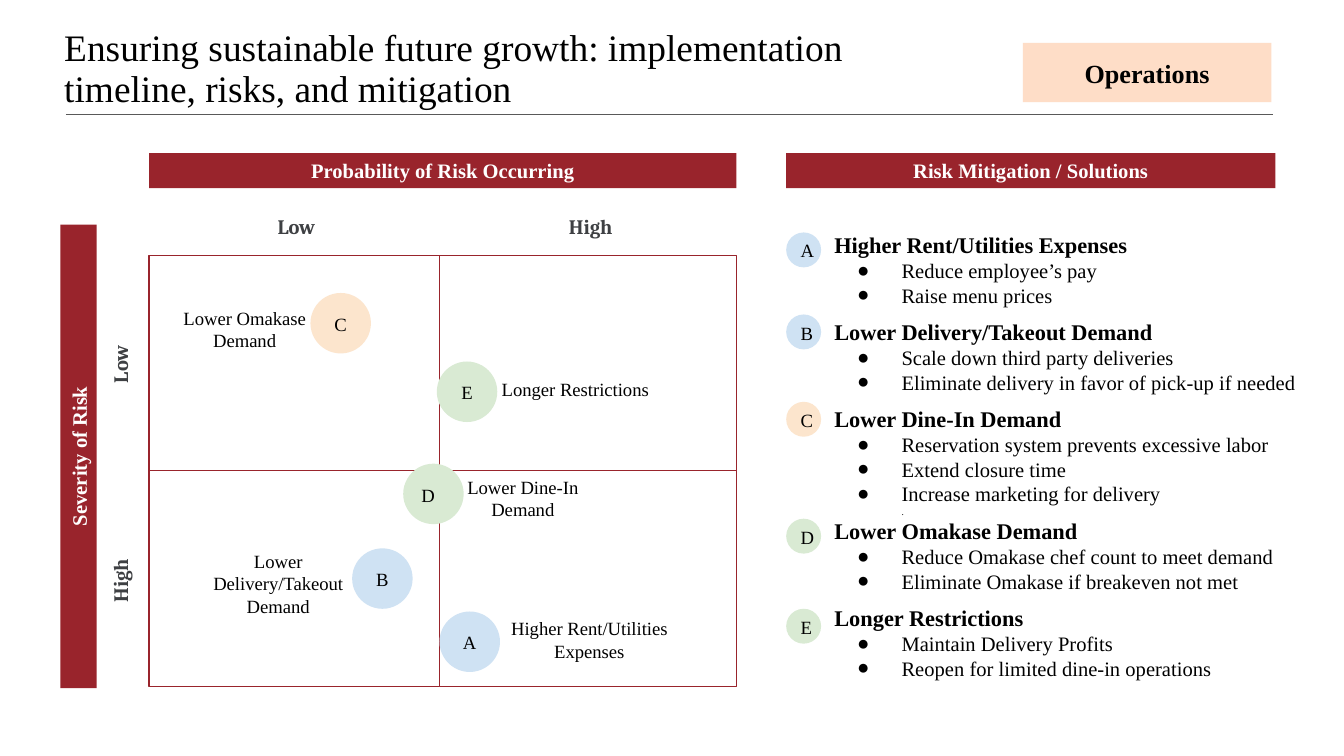
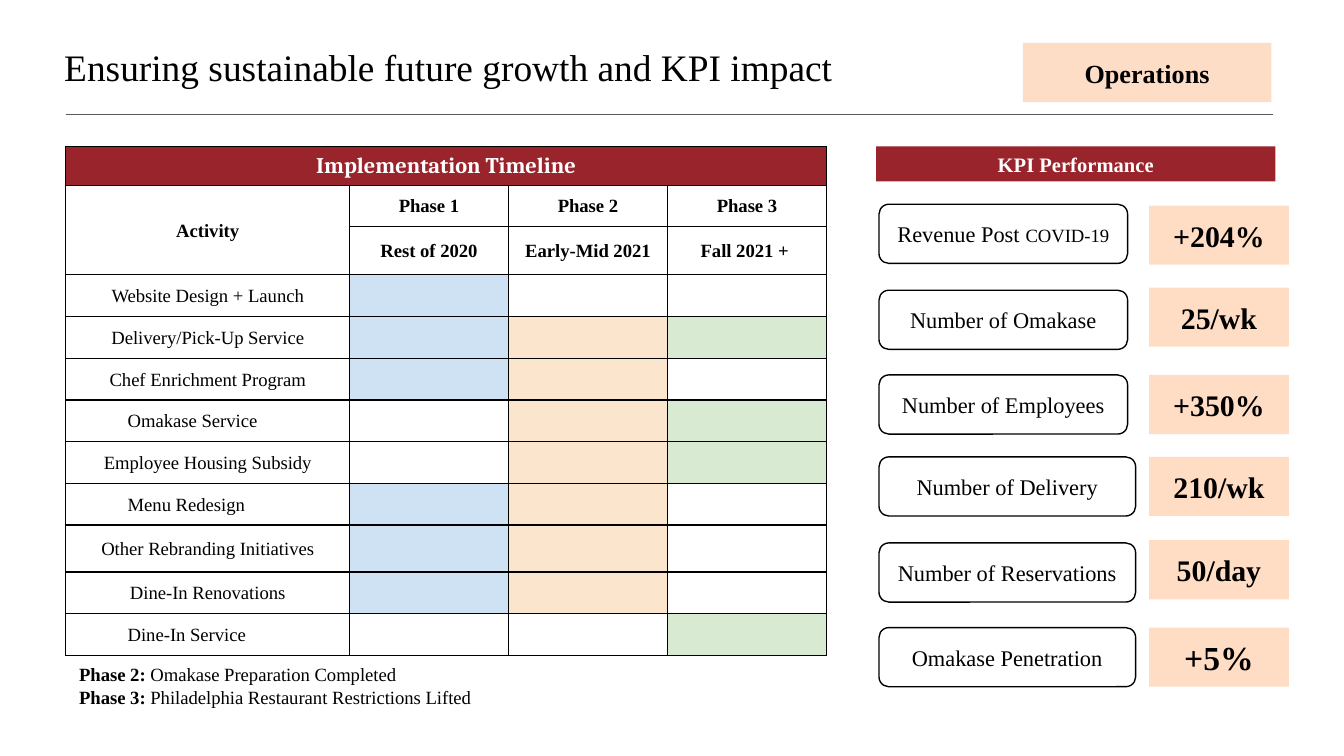
from lxml import etree
from pptx import Presentation
from pptx import util as u
from pptx.dml.color import RGBColor
from pptx.enum import shapes, text as t
from pptx.oxml import ns

SERIF = "Times New Roman"
HEADING_FONT = "Cambria"
BLACK, WHITE, GREY = "000000", "FFFFFF", "3E4043"
RED, PEACH, ORANGE = "99242C", "FEDDC7", "FFBA88"
BLUE, CREAM, GREEN = "CFE2F3", "FCE5CD", "D9EAD3"
LEFT, CENTER = t.PP_ALIGN.LEFT, t.PP_ALIGN.CENTER
TOP, MIDDLE = t.MSO_ANCHOR.TOP, t.MSO_ANCHOR.MIDDLE
RECTANGLE = shapes.MSO_SHAPE.RECTANGLE
ROUNDED = shapes.MSO_SHAPE.ROUNDED_RECTANGLE
OVAL = shapes.MSO_SHAPE.OVAL
RISK_COLORS = {"A": BLUE, "B": BLUE, "C": CREAM, "D": GREEN, "E": GREEN}


def color(value):
    return RGBColor.from_string(value)


def add_xml(parent, tag, **attributes):
    return etree.SubElement(parent, ns.qn(tag), attributes)


def write(paragraph, text, size=10, ink=BLACK, bold=False, font=SERIF,
          align=CENTER, spacing=None):
    paragraph.alignment = align
    if spacing:
        paragraph.line_spacing = spacing
    run = paragraph.add_run()
    run.text = text
    run.font.size = u.Pt(size)
    run.font.name = font
    run.font.bold = bold
    run.font.color.rgb = color(ink)


def prepare(frame, inset, anchor):
    frame.word_wrap = True
    frame.vertical_anchor = anchor
    frame.margin_left = frame.margin_right = u.Inches(inset)
    frame.margin_top = frame.margin_bottom = u.Inches(inset)


def add_text(slide, box, text="", inset=0.1, anchor=TOP, rotation=0, **style):
    shape = slide.shapes.add_textbox(*map(u.Inches, box))
    shape.rotation = rotation
    prepare(shape.text_frame, inset, anchor)
    if text:
        write(shape.text_frame.paragraphs[0], text, **style)
    return shape


def add_shape(slide, kind, box, text="", fill=None, line=None, alpha=None,
              inset=0.1, rotation=0, **style):
    shape = slide.shapes.add_shape(kind, *map(u.Inches, box))
    shape.shadow.inherit = False
    shape.rotation = rotation
    if fill:
        shape.fill.solid()
        shape.fill.fore_color.rgb = color(fill)
    else:
        shape.fill.background()
    if alpha:
        tint = shape.fill._xPr.find(ns.qn("a:solidFill"))[0]
        add_xml(tint, "a:alpha", val=str(alpha * 1000))
    if line:
        shape.line.color.rgb = color(line)
        shape.line.width = u.Pt(0.75)
    else:
        shape.line.fill.background()
    prepare(shape.text_frame, inset, MIDDLE)
    if text:
        write(shape.text_frame.paragraphs[0], text, **style)
    return shape


def add_band(slide, box, text, rotation=0):
    add_shape(slide, RECTANGLE, box, text, fill=RED, inset=0,
              rotation=rotation, size=11, ink=WHITE, bold=True)


def add_marker(slide, left, top, size, letter):
    add_shape(slide, OVAL, (left, top, size, size), letter,
              fill=RISK_COLORS[letter], inset=0.07, spacing=1.06,
              align=LEFT if letter == "D" else CENTER)


def add_header(slide, title):
    add_text(slide, (0.38, 0.25, 6.83, 0.54), title, anchor=MIDDLE,
             size=20, align=LEFT, spacing=0.9)
    rule = slide.shapes.add_connector(
        shapes.MSO_CONNECTOR.STRAIGHT,
        *map(u.Inches, (0.49, 0.85, 9.47, 0.85)))
    rule.line.color.rgb = color("595959")
    rule.line.width = u.Pt(0.75)
    add_xml(rule._element.spPr, "a:effectLst")
    add_shape(slide, RECTANGLE, (7.61, 0.32, 1.85, 0.44), "Operations",
              fill=PEACH, size=14, bold=True)


def add_risk_matrix(slide, left, top):
    axis = dict(inset=0, size=11, ink=GREY, bold=True, font=HEADING_FONT)
    add_band(slide, (left, top - 0.76, 4.37, 0.26),
             "Probability of Risk Occurring")
    add_band(slide, (left - 2.25, top + 1.36, 3.45, 0.27),
             "Severity of Risk", rotation=270)
    for index, level in enumerate(("Low", "High")):
        add_text(slide, (left + index * 2.19, top - 0.31, 2.19, 0.19),
                 level, **axis)
        add_text(slide, (left - 0.92, top + 0.62 + index * 1.61, 1.6, 0.38),
                 level, rotation=270, **axis)
    for row, first_width in enumerate((2.21, 2.16)):
        for x, width in ((0, first_width), (2.16, 2.21)):
            add_shape(slide, RECTANGLE,
                      (left + x, top + row * 1.6, width, 1.61),
                      fill=WHITE, line=RED)
    risks = [
        ("A", 2.16, 2.65, "Higher Rent/Utilities Expenses",
         (2.5, 2.59, 1.55, 0.58)),
        ("B", 1.51, 2.18, "Lower Delivery/Takeout Demand",
         (0.32, 2.09, 1.28, 0.58)),
        ("C", 1.2, 0.28, "Lower Omakase Demand", (0.07, 0.28, 1.28, 0.58)),
        ("D", 1.89, 1.55, "Lower Dine-In Demand", (2.14, 1.54, 1.28, 0.58)),
        ("E", 2.14, 0.79, "Longer Restrictions", (2.43, 0.83, 1.48, 0.29)),
    ]
    for letter, x, y, label, (label_x, label_y, width, height) in risks:
        add_marker(slide, left + x, top + y, 0.45, letter)
        add_text(slide, (left + label_x, top + label_y, width, height), label)


def add_bullet(paragraph):
    properties = paragraph._p.get_or_add_pPr()
    properties.set("marL", str(u.Inches(0.5)))
    properties.set("indent", str(u.Inches(-0.33)))
    add_xml(add_xml(properties, "a:buClr"), "a:srgbClr", val=BLACK)
    add_xml(properties, "a:buFont", typeface=SERIF)
    add_xml(properties, "a:buChar", char="●")


def add_solutions(slide, left, top):
    add_band(slide, (left, top, 3.64, 0.26), "Risk Mitigation / Solutions")
    solutions = [
        ("A", 0.59, "Higher Rent/Utilities Expenses",
         ["Reduce employee’s pay", "Raise menu prices"]),
        ("B", 1.2, "Lower Delivery/Takeout Demand",
         ["Scale down third party deliveries",
          "Eliminate delivery in favor of pick-up if needed"]),
        ("C", 1.85, "Lower Dine-In Demand",
         ["Reservation system prevents excessive labor",
          "Extend closure time", "Increase marketing for delivery", "."]),
        ("D", 2.72, "Lower Omakase Demand",
         ["Reduce Omakase chef count to meet demand",
          "Eliminate Omakase if breakeven not met"]),
        ("E", 3.39, "Longer Restrictions",
         ["Maintain Delivery Profits",
          "Reopen for limited dine-in operations"]),
    ]
    frame = add_text(slide, (left + 0.26, top + 0.48, 3.7, 3.68)).text_frame
    paragraph = frame.paragraphs[0]
    for letter, y, heading, actions in solutions:
        add_marker(slide, left, top + y, 0.26, letter)
        if letter != "A":
            paragraph = frame.add_paragraph()
            paragraph.space_before = u.Pt(0 if letter == "D" else 5.75)
        write(paragraph, heading, size=12, bold=True, align=LEFT)
        for action in actions:
            paragraph = frame.add_paragraph()
            if action == ".":
                paragraph._p.get_or_add_pPr().set("marL", str(u.Inches(0.5)))
                write(paragraph, action, size=5, align=LEFT)
            else:
                add_bullet(paragraph)
                write(paragraph, action, size=11, align=LEFT)


def format_cell(cell, fill):
    cell.vertical_anchor = MIDDLE
    cell.margin_left = cell.margin_right = cell.margin_top = u.Inches(0.01)
    cell.margin_bottom = 0
    properties = cell._tc.get_or_add_tcPr()
    for side in "LRTB":
        border = add_xml(properties, f"a:ln{side}", w=str(u.Pt(0.75)))
        add_xml(add_xml(border, "a:solidFill"), "a:srgbClr", val=BLACK)
    cell.fill.solid()
    cell.fill.fore_color.rgb = color(fill)


def add_timeline(slide, left, top, width, height):
    phase_fills = (BLUE, CREAM, GREEN)
    phases = [("Phase 1", "Rest of 2020"), ("Phase 2", "Early-Mid 2021"),
              ("Phase 3", "Fall 2021 + ")]
    activities = [
        ("Website Design + Launch", (1,)),
        ("Delivery/Pick-Up Service", (1, 2, 3)),
        ("Chef Enrichment Program", (1, 2)),
        ("Omakase Service", (2, 3)),
        ("Employee Housing Subsidy", (2, 3)),
        ("Menu Redesign", (1, 2)),
        ("Other Rebranding Initiatives", (1, 2)),
        ("Dine-In Renovations", (1, 2)),
        ("Dine-In Service", (3,)),
    ]
    indented = ("Omakase Service", "Menu Redesign", "Dine-In Service")
    widths = [2.11] + [(width - 2.11) / 3] * 3
    tall_rows = {0: 0.29, 2: 0.36, 9: 0.35}
    regular = (height - sum(tall_rows.values())) / 9
    heights = [tall_rows.get(row, regular) for row in range(12)]
    table = slide.shapes.add_table(
        len(heights), len(widths),
        *map(u.Inches, (left, top, width, height))).table
    table.first_row = table.horz_banding = False
    for column, column_width in zip(table.columns, widths):
        column.width = u.Inches(column_width)
    for row, row_height in zip(table.rows, heights):
        row.height = u.Inches(row_height)

    def fill_cell(row, column, text="", fill=WHITE, **style):
        cell = table.cell(row, column)
        format_cell(cell, fill)
        if text:
            write(cell.text_frame.paragraphs[0], text, **style)
        return cell

    fill_cell(0, 0, "Implementation Timeline", RED, size=12, ink=WHITE,
              bold=True, font=HEADING_FONT)
    fill_cell(1, 0, "Activity", bold=True)
    fill_cell(2, 0)
    for column, (phase, period) in enumerate(phases, 1):
        fill_cell(0, column, fill=RED)
        fill_cell(1, column, phase, bold=True)
        fill_cell(2, column, period, bold=True)
    for row, (activity, active) in enumerate(activities, 3):
        shifted = activity in indented
        cell = fill_cell(row, 0, activity, align=LEFT if shifted else CENTER)
        if shifted:
            cell.margin_left = u.Inches(0.46)
        for column, fill in enumerate(phase_fills, 1):
            fill_cell(row, column, fill=fill if column in active else WHITE)
    table.cell(0, 0).merge(table.cell(0, 3))
    table.cell(1, 0).merge(table.cell(2, 0))


def add_phase_notes(slide, box):
    frame = add_text(slide, box, anchor=MIDDLE).text_frame
    notes = [("Phase 2: ", "Omakase Preparation Completed"),
             ("Phase 3: ", "Philadelphia Restaurant Restrictions Lifted")]
    for index, (phase, note) in enumerate(notes):
        paragraph = frame.add_paragraph() if index else frame.paragraphs[0]
        write(paragraph, phase, bold=True, align=LEFT)
        write(paragraph, note, align=LEFT)


def add_kpis(slide, left, top):
    add_band(slide, (left, top, 2.97, 0.26), "KPI Performance")
    kpis = [
        ("Revenue Post ", 0.43, 1.85, "+204%", 0.44, 16),
        ("Number of Omakase", 1.07, 1.85, "25/wk", 1.05, 16),
        ("Number of Employees", 1.7, 1.85, "+350%", 1.7, 16),
        ("Number of Delivery", 2.31, 1.91, "210/wk", 2.31, 16),
        ("Number of Reservations", 2.95, 1.91, "50/day", 2.93, 16),
        ("Omakase Penetration", 3.58, 1.91, "+5%", 3.58, 18),
    ]
    for label, label_y, width, value, value_y, size in kpis:
        shape = add_shape(slide, ROUNDED,
                          (left + 0.02, top + label_y, width, 0.44),
                          label, line=BLACK, size=12)
        if label == "Revenue Post ":
            write(shape.text_frame.paragraphs[0], "COVID-19")
        add_shape(slide, RECTANGLE, (left + 2.03, top + value_y, 1.04, 0.44),
                  value, fill=ORANGE, alpha=49, size=size, bold=True)


def add_slide(presentation, title):
    slide = presentation.slides.add_slide(presentation.slide_layouts[6])
    add_header(slide, title)
    return slide


def main():
    presentation = Presentation()
    presentation.slide_width = u.Inches(10)
    presentation.slide_height = u.Inches(10 * 9 / 16)
    risk_slide = add_slide(
        presentation, "Ensuring sustainable future growth: implementation "
        "timeline, risks, and mitigation")
    add_risk_matrix(risk_slide, 1.11, 1.9)
    add_solutions(risk_slide, 5.85, 1.14)
    kpi_slide = add_slide(
        presentation, "Ensuring sustainable future growth and KPI impact")
    add_timeline(kpi_slide, 0.49, 1.09, 5.66, 3.75)
    add_phase_notes(kpi_slide, (0.49, 4.88, 5.25, 0.44))
    add_kpis(kpi_slide, 6.52, 1.09)
    presentation.save("out.pptx")


if __name__ == "__main__":
    main()
